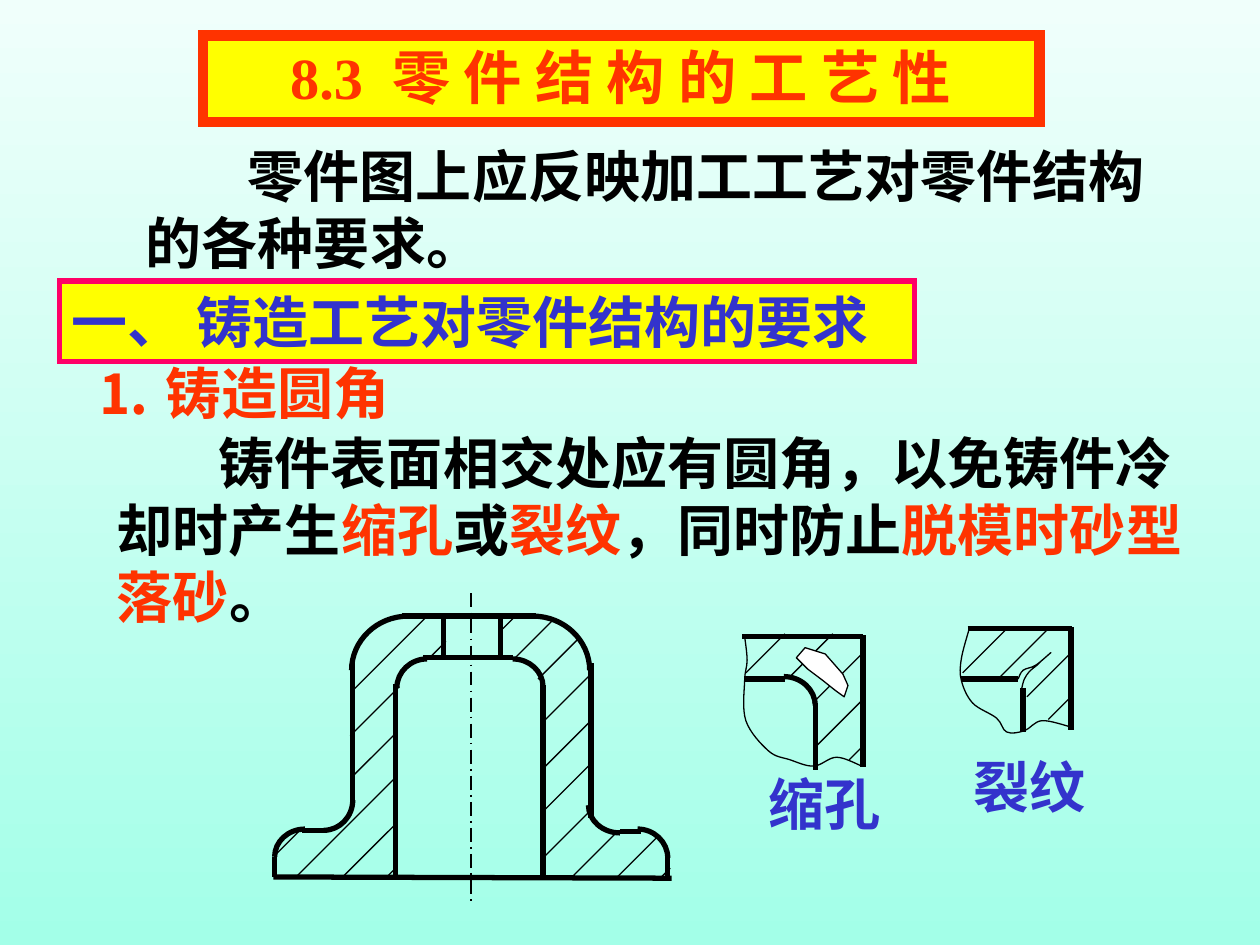
from lxml.etree import SubElement
from pptx import Presentation
from pptx.dml.color import RGBColor
from pptx.enum.dml import MSO_LINE
from pptx.enum.shapes import MSO_CONNECTOR, MSO_SHAPE
from pptx.enum.text import MSO_ANCHOR, PP_ALIGN
from pptx.oxml.ns import qn
from pptx.util import Emu, Pt

EMU_PER_PX = 9144
FONT = "Times New Roman"
BLACK, RED, BLUE, YELLOW, PINK = "000000", "FF3300", "3333CC", "FFFF00", "FF0066"
THICK, THIN = 3, 0.75
ARC_PULL = 0.55

CASTING_EDGES = [
    (217, 696, 533, 697), (431, 696, 431, 544), (314, 696, 314, 543),
    (336, 522, 407, 522), (319, 489, 425, 489), (469, 649, 469, 526),
    (280, 525, 280, 635), (492, 660, 509, 660), (240, 659, 257, 659),
    (530, 680, 530, 696), (218, 680, 218, 696), (397, 487, 397, 523),
    (352, 487, 352, 524),
]
CASTING_FILLETS = [
    (407, 523, 431, 545), (339, 523, 315, 546), (423, 489, 468, 532),
    (324, 489, 279, 532), (257, 659, 280, 635), (492, 661, 467, 639),
    (506, 658, 530, 681), (242, 658, 218, 680),
]
CASTING_HATCH = [
    (280, 548, 59), (278, 584, 39), (340, 523, 14), (279, 617, 36),
    (399, 499, 12), (218, 679, 20), (234, 697, 81), (408, 523, 30),
    (427, 539, 32), (271, 697, 44), (306, 697, 9), (432, 572, 37),
    (431, 610, 39), (429, 646, 40), (429, 683, 38), (453, 697, 37),
    (489, 697, 33), (524, 697, 8),
]
CAVITY_EDGES = [(589, 505, 685, 505), (647, 611, 647, 558),
                (591, 539, 623, 539), (685, 504, 685, 609)]
CAVITY_FILLETS = [(622, 537, 647, 560)]
CAVITY_HATCH = [(592, 534, 31), (626, 538, 35), (645, 558, 39),
                (646, 594, 38), (674, 603, 10)]
CAVITY_BREAK = [(591, 505), (593, 524), (591, 540), (592, 572), (610, 596),
                (627, 603), (646, 608), (664, 601), (684, 608)]
CAVITY_OUTLINE = [(639, 514), (655, 519), (669, 535), (673, 544), (670, 553),
                  (663, 548), (653, 540), (641, 531), (632, 522)]
CRACK_EDGES = [(768, 499, 851, 499), (850, 498, 850, 579),
               (763, 539, 808, 539), (812, 546, 812, 581)]
CRACK_HATCH = [(764, 534, 36), (794, 537, 39), (815, 553, 35), (832, 571, 19)]
CRACK_BREAK = [(769, 500), (763, 523), (763, 540), (772, 558), (791, 570),
               (799, 581), (813, 580), (827, 572), (850, 577)]
CRACK_OUTLINE = [(808, 539), (812, 532), (822, 528), (834, 518), (826, 525),
                 (823, 528), (817, 533), (813, 539), (811, 546)]


def px(length):
    """Turn px into EMU."""
    return Emu(length * EMU_PER_PX)


def color(value):
    """Turn a hex string into a colour."""
    return RGBColor.from_string(value)


def set_line(shape, width, line_color=BLACK):
    """Give a shape a solid line."""
    shape.line.width = Pt(width)
    shape.line.color.rgb = color(line_color)


def paint_background(slide):
    """Fill the slide with a gradient from top to bottom."""
    fill = slide.background.fill
    fill.gradient()
    fill.gradient_angle = 270
    for stop, position, value in zip(fill.gradient_stops, (0, 1), ("F0FFFB", "A3FFE8")):
        stop.position = position
        stop.color.rgb = color(value)


def write_text(shape, runs, size=32, align=PP_ALIGN.LEFT, anchor=MSO_ANCHOR.MIDDLE,
               wrap=True, indent=0):
    """Write one bold paragraph from (text, colour, letter spacing) runs."""
    frame = shape.text_frame
    frame.word_wrap = wrap
    frame.vertical_anchor = anchor
    paragraph = frame.paragraphs[0]
    paragraph.alignment = align
    if indent:
        paragraph._p.get_or_add_pPr().set("indent", str(px(indent)))
    for text, text_color, *spacing in runs:
        run = paragraph.add_run()
        run.text = text
        run.font.name = FONT
        run.font.size = Pt(size)
        run.font.bold = True
        run.font.color.rgb = color(text_color)
        if spacing:
            run.font._element.set("spc", str(spacing[0]))


def add_text(shapes, box, runs, **text_format):
    """Add a plain text box."""
    write_text(shapes.add_textbox(*map(px, box)), runs, **text_format)


def add_banner(shapes, box, runs, line_color, line_width, **text_format):
    """Add a framed yellow heading with sharp corners."""
    shape = shapes.add_shape(MSO_SHAPE.RECTANGLE, *map(px, box))
    shape.shadow.inherit = False
    shape.fill.solid()
    shape.fill.fore_color.rgb = color(YELLOW)
    set_line(shape, line_width, line_color)
    SubElement(shape._element.spPr.find(qn("a:ln")), qn("a:miter"), lim="800000")
    write_text(shape, runs, **text_format)


def add_line(shapes, ends, width=THICK, dash=None):
    """Add a straight line between two points."""
    line = shapes.add_connector(MSO_CONNECTOR.STRAIGHT, *map(px, ends))
    SubElement(line._element.spPr, qn("a:effectLst"))
    set_line(line, width)
    if dash:
        line.line.dash_style = dash


def add_outline(shapes, points, width=THIN, fill=None):
    """Add an open outline, or a closed one when it has a fill."""
    start, *rest = [(px(x), px(y)) for x, y in points]
    builder = shapes.build_freeform(*start)
    builder.add_line_segments(rest, close=fill is not None)
    shape = builder.convert_to_shape()
    shape.shadow.inherit = False
    set_line(shape, width)
    if fill:
        shape.fill.solid()
        shape.fill.fore_color.rgb = color(fill)
    else:
        shape.fill.background()
    return shape


def add_curve(shapes, points, width=THIN):
    """Add a curve from a start point and triples of two handles and an end."""
    shape = add_outline(shapes, points, width)
    segments = list(shape._element.iter(qn("a:lnTo")))
    for first in range(0, len(segments), 3):
        curve, *others = segments[first:first + 3]
        bezier = SubElement(curve.getparent(), qn("a:cubicBezTo"))
        for segment in (curve, *others):
            bezier.append(segment[0])
            segment.getparent().remove(segment)


def add_fillet(shapes, start_x, start_y, end_x, end_y):
    """Add a quarter arc that leaves its start horizontally."""
    add_curve(shapes, [(start_x, start_y),
                       (start_x + ARC_PULL * (end_x - start_x), start_y),
                       (end_x, end_y - ARC_PULL * (end_y - start_y)),
                       (end_x, end_y)], THICK)


def add_wave(shapes, knots):
    """Add a thin smooth curve through the knots."""
    padded = [knots[0], *knots, knots[-1]]
    points = [knots[0]]
    for before, start, end, after in zip(padded, padded[1:], padded[2:], padded[3:]):
        points += [tuple(s + (e - b) / 6 for b, s, e in zip(before, start, end)),
                   tuple(e - (a - s) / 6 for s, e, a in zip(start, end, after)), end]
    add_curve(shapes, points)


def add_section(shapes, edges, fillets, hatch):
    """Draw the edges, fillets and 45 degree hatching of a cut part."""
    for edge in edges:
        add_line(shapes, edge)
    for fillet in fillets:
        add_fillet(shapes, *fillet)
    for left, bottom, run in hatch:
        add_line(shapes, (left, bottom, left + run, bottom - run), THIN)


def add_label(shapes, box, text):
    """Add a blue caption under a detail."""
    add_text(shapes, box, [(text, BLUE)], align=PP_ALIGN.CENTER, wrap=False)


def main():
    """Build the slide and save it."""
    presentation = Presentation()
    presentation.slide_width, presentation.slide_height = px(1000), px(750)
    slide = presentation.slides.add_slide(presentation.slide_layouts[6])
    paint_background(slide)
    shapes = slide.shapes
    add_banner(shapes, (161, 28, 664, 69),
               [("8.3", RED), (" ", RED, 830), ("零 件 结 构 的 工 艺 性", RED)], RED, 6,
               size=33.3, align=PP_ALIGN.CENTER, anchor=MSO_ANCHOR.TOP)
    add_banner(shapes, (47, 223, 679, 64), [("一、 铸造工艺对零件结构的要求", BLUE)], PINK, 3)
    add_text(shapes, (67, 279, 255, 64), [("⒈ 铸造圆角", RED)], wrap=False)
    add_text(shapes, (83, 335, 897, 170), [
        ("铸件表面相交处应有圆角，以免铸件冷却时产生", BLACK), ("缩孔", RED), ("或", BLACK),
        ("裂纹", RED), ("，同时防止", BLACK), ("脱模时砂型落砂", RED), ("。", BLACK)], indent=81)
    add_text(shapes, (106, 107, 838, 117),
             [("零件图上应反映加工工艺对零件结构的各种要求。", BLACK)], indent=81)

    casting, cavity, crack = (shapes.add_group_shape().shapes for _ in range(3))
    add_line(casting, (374, 471, 374, 719), 1, MSO_LINE.LONG_DASH_DOT)
    add_section(casting, CASTING_EDGES, CASTING_FILLETS, CASTING_HATCH)
    add_section(cavity, CAVITY_EDGES, CAVITY_FILLETS, CAVITY_HATCH)
    add_wave(cavity, CAVITY_BREAK)
    add_outline(cavity, CAVITY_OUTLINE, fill="FFFFFF")
    add_label(cavity, (600, 605, 109, 64), "缩孔")
    add_section(crack, CRACK_EDGES, [], CRACK_HATCH)
    add_wave(crack, CRACK_BREAK)
    add_wave(crack, CRACK_OUTLINE)
    add_label(crack, (763, 592, 109, 64), "裂纹")
    presentation.save("out.pptx")


if __name__ == "__main__":
    main()
